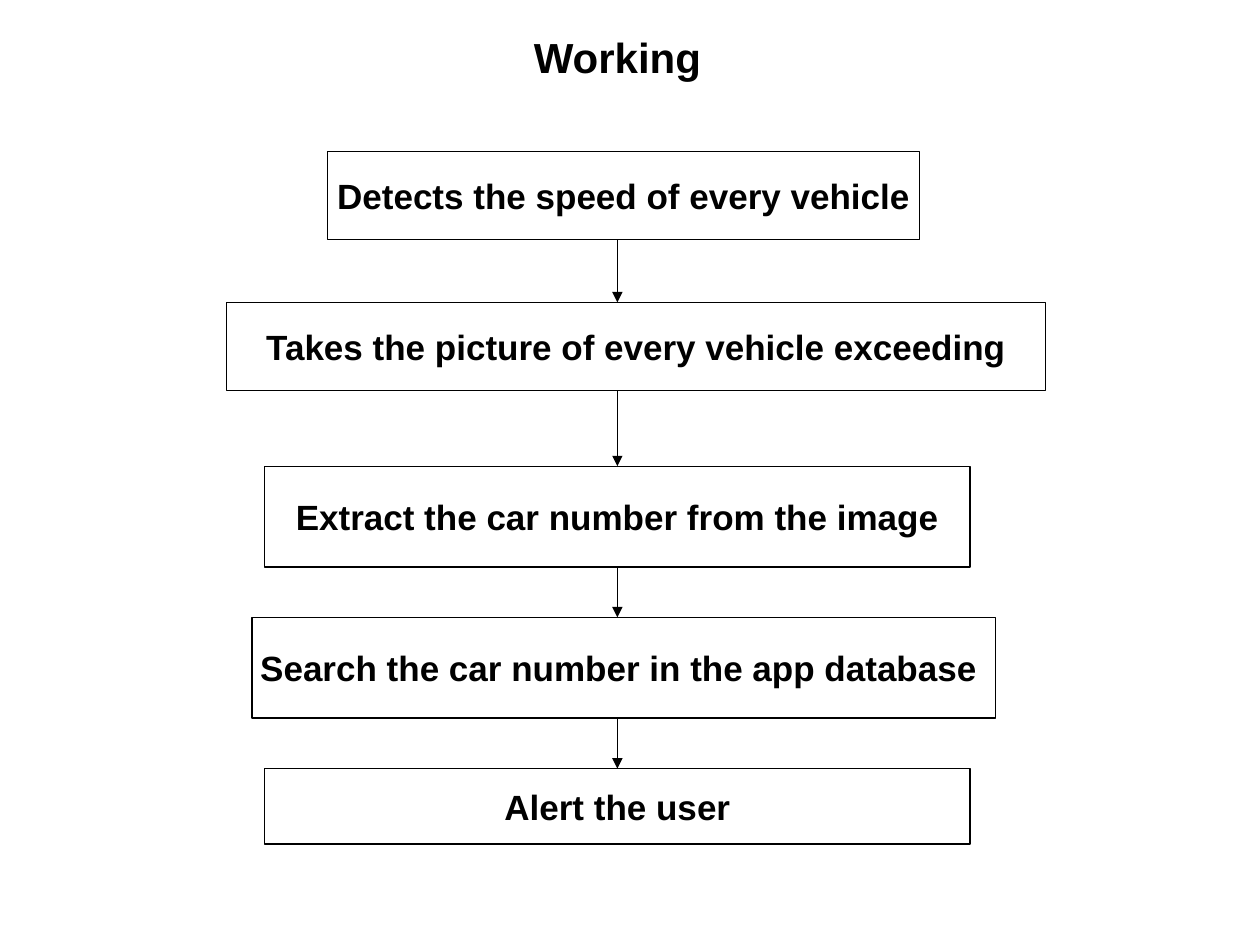
import pptx
import pptx.util
import pptx.dml.color
import pptx.enum.shapes
import pptx.enum.text
import pptx.oxml.ns
from lxml import etree

Inches = pptx.util.Inches
BLACK = pptx.dml.color.RGBColor(0x00, 0x00, 0x00)
WHITE = pptx.dml.color.RGBColor(0xFF, 0xFF, 0xFF)
FLOW_X = 4.9
STEPS = [
    ("Detects the speed of every vehicle", 2.6, 1.2, 4.7, 0.7),
    ("Takes the picture of every vehicle exceeding", 1.8, 2.4, 6.5, 0.7),
    ("Extract the car number from the image", 2.1, 3.7, 5.6, 0.8),
    ("Search the car number in the app database ", 2.0, 4.9, 5.9, 0.8),
    ("Alert the user", 2.1, 6.1, 5.6, 0.6),
]


def write_text(shape, text, size=20, bold=True, color=BLACK, font="Arial",
               anchor=pptx.enum.text.MSO_ANCHOR.MIDDLE, wrap=False):
    frame = shape.text_frame
    frame.auto_size = pptx.enum.text.MSO_AUTO_SIZE.NONE
    frame.word_wrap = wrap
    frame.vertical_anchor = anchor
    paragraph = frame.paragraphs[0]
    paragraph.alignment = pptx.enum.text.PP_ALIGN.CENTER
    run = paragraph.add_run()
    run.text = text
    run.font.name = font
    run.font.size = pptx.util.Pt(size)
    run.font.bold = bold
    run.font.color.rgb = color


class Flowchart:
    line_width = pptx.util.Pt(0.75)

    def __init__(self, slide):
        self.slide = slide

    def title(self, text, left, top, width, height):
        shape = self.slide.shapes.title
        shape.left, shape.top = Inches(left), Inches(top)
        shape.width, shape.height = Inches(width), Inches(height)
        write_text(shape, text, size=24, wrap=True,
                   anchor=pptx.enum.text.MSO_ANCHOR.TOP)

    def step(self, text, left, top, width, height):
        shape = self.slide.shapes.add_shape(
            pptx.enum.shapes.MSO_SHAPE.RECTANGLE,
            Inches(left), Inches(top), Inches(width), Inches(height))
        shape.shadow.inherit = False
        shape.fill.solid()
        shape.fill.fore_color.rgb = WHITE
        shape.line.color.rgb = BLACK
        shape.line.width = self.line_width
        write_text(shape, text)
        return shape

    def arrow(self, upper, lower):
        x = Inches(FLOW_X)
        connector = self.slide.shapes.add_connector(
            pptx.enum.shapes.MSO_CONNECTOR.STRAIGHT,
            x, upper.top + upper.height, x, lower.top)
        if self.is_centred(upper):
            connector.begin_connect(upper, 2)
        if self.is_centred(lower):
            connector.end_connect(lower, 0)
        connector.line.color.rgb = BLACK
        connector.line.width = self.line_width
        qn = pptx.oxml.ns.qn
        etree.SubElement(connector.line._get_or_add_ln(), qn("a:tailEnd"), type="triangle")
        etree.SubElement(connector._element.spPr, qn("a:effectLst"))

    def is_centred(self, shape):
        return abs(shape.left + shape.width // 2 - Inches(FLOW_X)) < Inches(0.01)


def main():
    presentation = pptx.Presentation()
    presentation.slide_width = Inches(10)
    presentation.slide_height = Inches(7.5)
    slide = presentation.slides.add_slide(presentation.slide_layouts[5])
    flowchart = Flowchart(slide)
    flowchart.title("Working", 2.0, 0.2, 5.8, 0.7)
    boxes = [flowchart.step(*step) for step in STEPS]
    for upper, lower in zip(boxes, boxes[1:]):
        flowchart.arrow(upper, lower)
    presentation.save("out.pptx")


if __name__ == "__main__":
    main()
